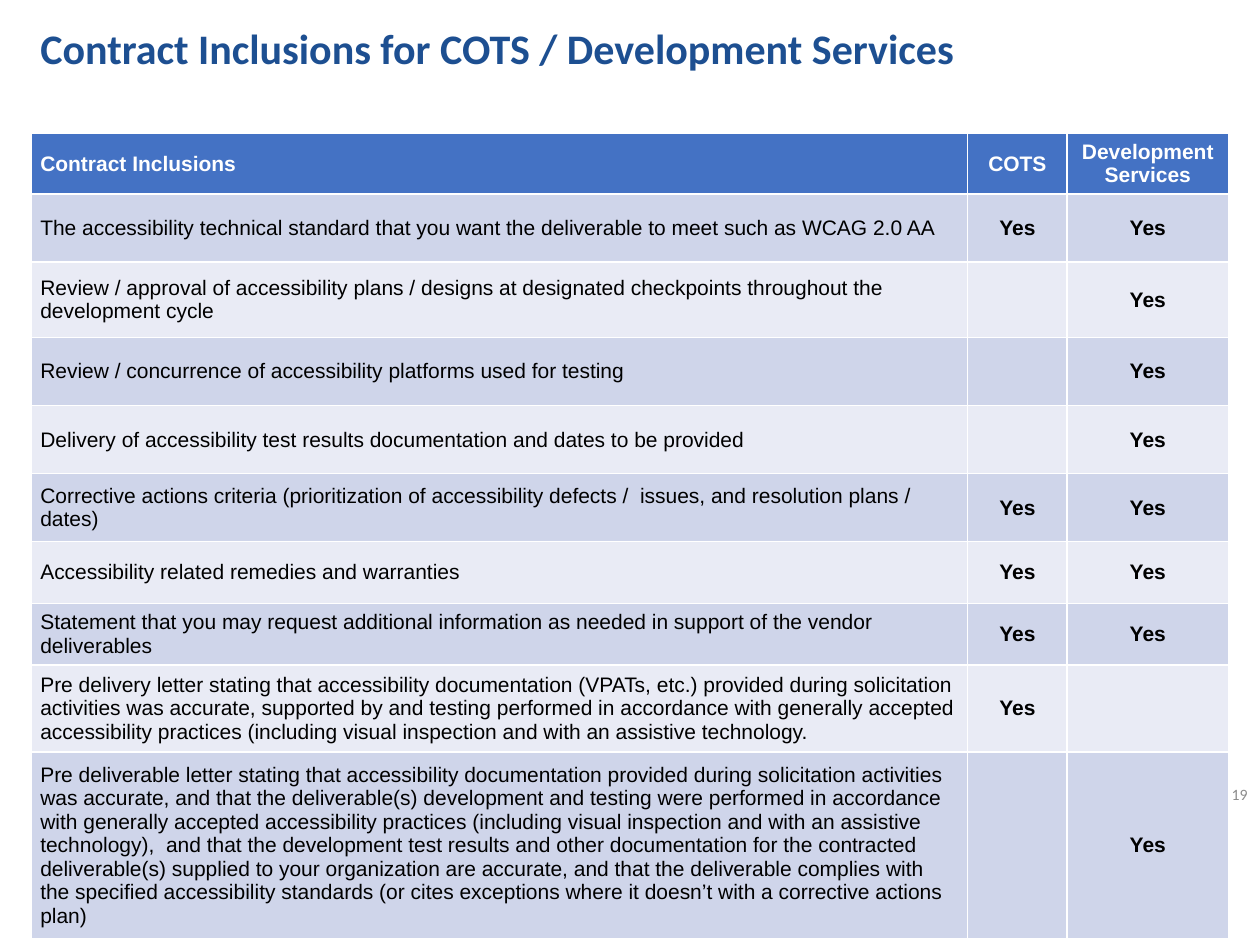
from pptx import Presentation
from pptx.dml.color import RGBColor
from pptx.enum.text import MSO_ANCHOR, PP_ALIGN
from pptx.util import Inches, Pt

HEAD = ("Contract Inclusions", "COTS", "Development Services")
ROWS = (
    ("The accessibility technical standard that you want the deliverable to meet such as WCAG 2.0 AA", "Yes", "Yes"),
    ("Review / approval of accessibility plans / designs at designated checkpoints "
     "throughout the development cycle", "", "Yes"),
    ("Review / concurrence of accessibility platforms used for testing", "", "Yes"),
    ("Delivery of accessibility test results documentation and dates to be provided", "", "Yes"),
    ("Corrective actions criteria (prioritization of accessibility defects /  issues, "
     "and resolution plans / dates)", "Yes", "Yes"),
    ("Accessibility related remedies and warranties", "Yes", "Yes"),
    ("Statement that you may request additional information as needed in support of "
     "the vendor deliverables", "Yes", "Yes"),
    ("Pre delivery letter stating that accessibility documentation (VPATs, etc.) provided "
     "during solicitation activities was accurate, supported by and testing performed in "
     "accordance with generally accepted accessibility practices (including visual "
     "inspection and with an assistive technology.", "Yes", ""),
    ("Pre deliverable letter stating that accessibility documentation provided during "
     "solicitation activities was accurate, and that the deliverable(s) development and "
     "testing were performed in accordance with generally accepted accessibility practices "
     "(including visual inspection and with an assistive technology),  and that the "
     "development test results and other documentation for the contracted deliverable(s) "
     "supplied to your organization are accurate, and that the deliverable complies with "
     "the specified accessibility standards (or cites exceptions where it doesn’t with a "
     "corrective actions plan)", "", "Yes"),
)
WIDTHS = (7.43, 0.79, 1.28)
HEIGHTS = (0.48, 0.54, 0.6, 0.54, 0.54, 0.54, 0.49, 0.49, 0.69, 1.38)


def tint(code):
    """Turn a hex string into a colour."""
    return RGBColor.from_string(code)


def write(frame, text, font="Arial", size=12, color="000000", bold=False, align=PP_ALIGN.LEFT, space=None):
    """Put one formatted paragraph into a text frame."""
    para = frame.paragraphs[0]
    para.alignment = align
    para.line_spacing = space
    run = para.add_run()
    run.text = text
    run.font.name = font
    run.font.size = Pt(size)
    run.font.bold = bold
    run.font.color.rgb = tint(color)


def inset(item):
    """Set the margins shared by the title and the cells."""
    item.margin_left = item.margin_right = Inches(0.07)
    item.margin_top = item.margin_bottom = Inches(0.04)


class Page:
    """Hold the style and the current slide."""

    font = "Calibri"
    blue = "1D4F91"
    gray = "8C8C8C"
    top = "4472C4"
    bands = ("E9EBF5", "CFD5EA")

    def __init__(self, slide):
        """Keep the slide to draw on."""
        self.slide = slide

    def title(self, text, *box):
        """Place and fill the title."""
        shape = self.slide.shapes.title
        shape.left, shape.top, shape.width, shape.height = map(Inches, box)
        frame = shape.text_frame
        frame.word_wrap = True
        frame.vertical_anchor = MSO_ANCHOR.MIDDLE
        inset(frame)
        write(frame, text, font=self.font, size=24, color=self.blue, bold=True, space=0.9)

    def number(self, text, *box):
        """Add the page number."""
        frame = self.slide.shapes.add_textbox(*map(Inches, box)).text_frame
        frame.word_wrap = True
        frame.vertical_anchor = MSO_ANCHOR.MIDDLE
        write(frame, text, font=self.font, size=9, color=self.gray, align=PP_ALIGN.RIGHT)

    def table(self, rows, widths, heights, left, top):
        """Add a table with a header and banded rows."""
        box = map(Inches, (left, top, sum(widths), sum(heights)))
        grid = self.slide.shapes.add_table(len(rows), len(widths), *box).table
        for col, width in zip(grid.columns, widths):
            col.width = Inches(width)
        for line, height in zip(grid.rows, heights):
            line.height = Inches(height)
        for r, row in enumerate(rows):
            for c, text in enumerate(row):
                self.cell(grid.cell(r, c), text, r, c)

    def cell(self, cell, text, r, c):
        """Fill one cell by its row and column."""
        head = r == 0
        cell.fill.solid()
        cell.fill.fore_color.rgb = tint(self.top if head else self.bands[r % 2])
        cell.vertical_anchor = MSO_ANCHOR.MIDDLE
        inset(cell)
        if text:
            write(cell.text_frame, text, color="FFFFFF" if head else "000000",
                  bold=head or c > 0, align=PP_ALIGN.CENTER if c else PP_ALIGN.LEFT)


def main():
    """Build and save the slide."""
    deck = Presentation()
    deck.slide_width, deck.slide_height = Inches(10), Inches(7.5)
    page = Page(deck.slides.add_slide(deck.slide_layouts[5]))
    page.number("19", 8.25, 6.15, 1.75, 0.3)
    page.title("Contract Inclusions for COTS / Development Services", 0.25, -0.25, 9.49, 1.31)
    page.table((HEAD, *ROWS), WIDTHS, HEIGHTS, 0.25, 1.06)
    deck.save("out.pptx")


if __name__ == "__main__":
    main()
